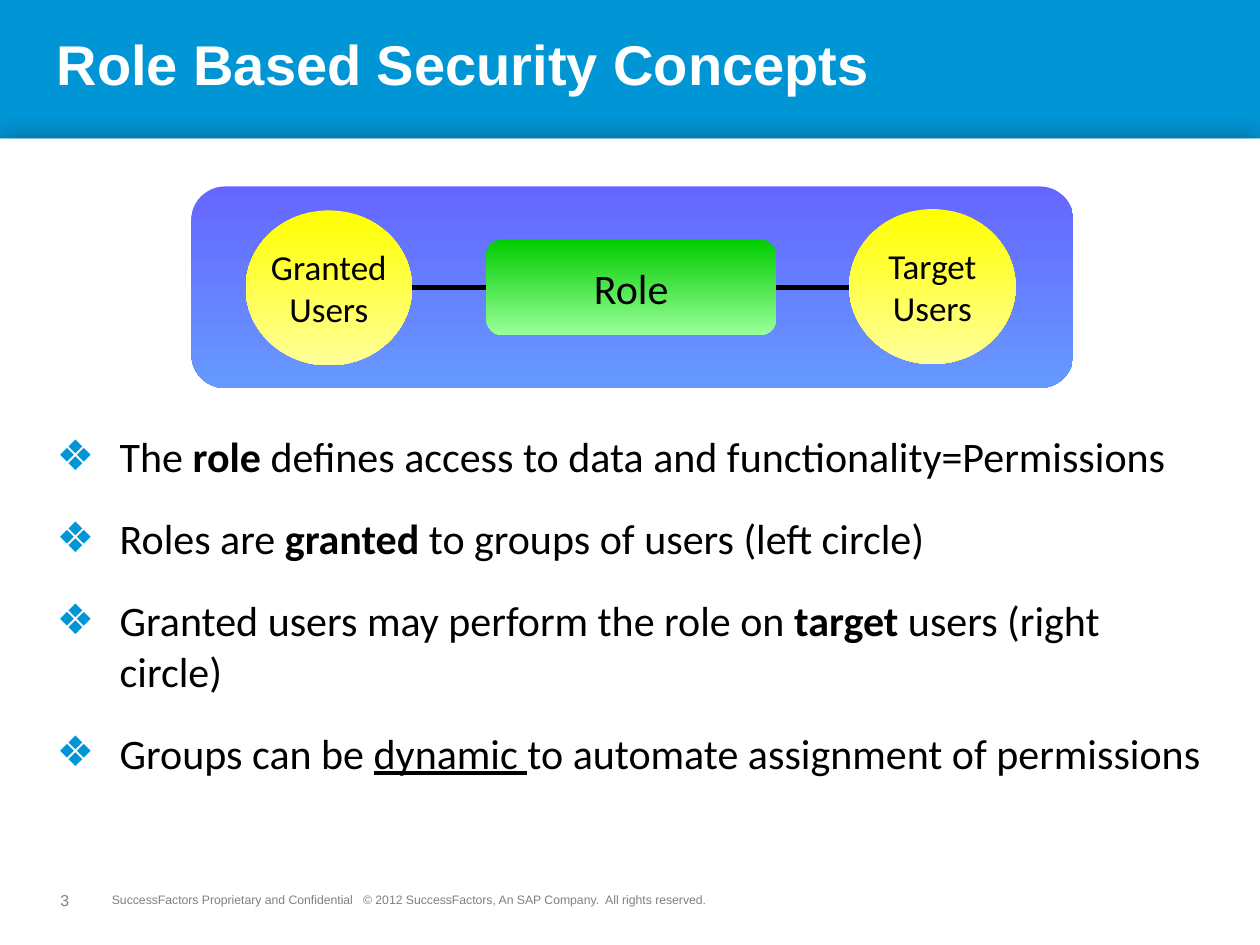
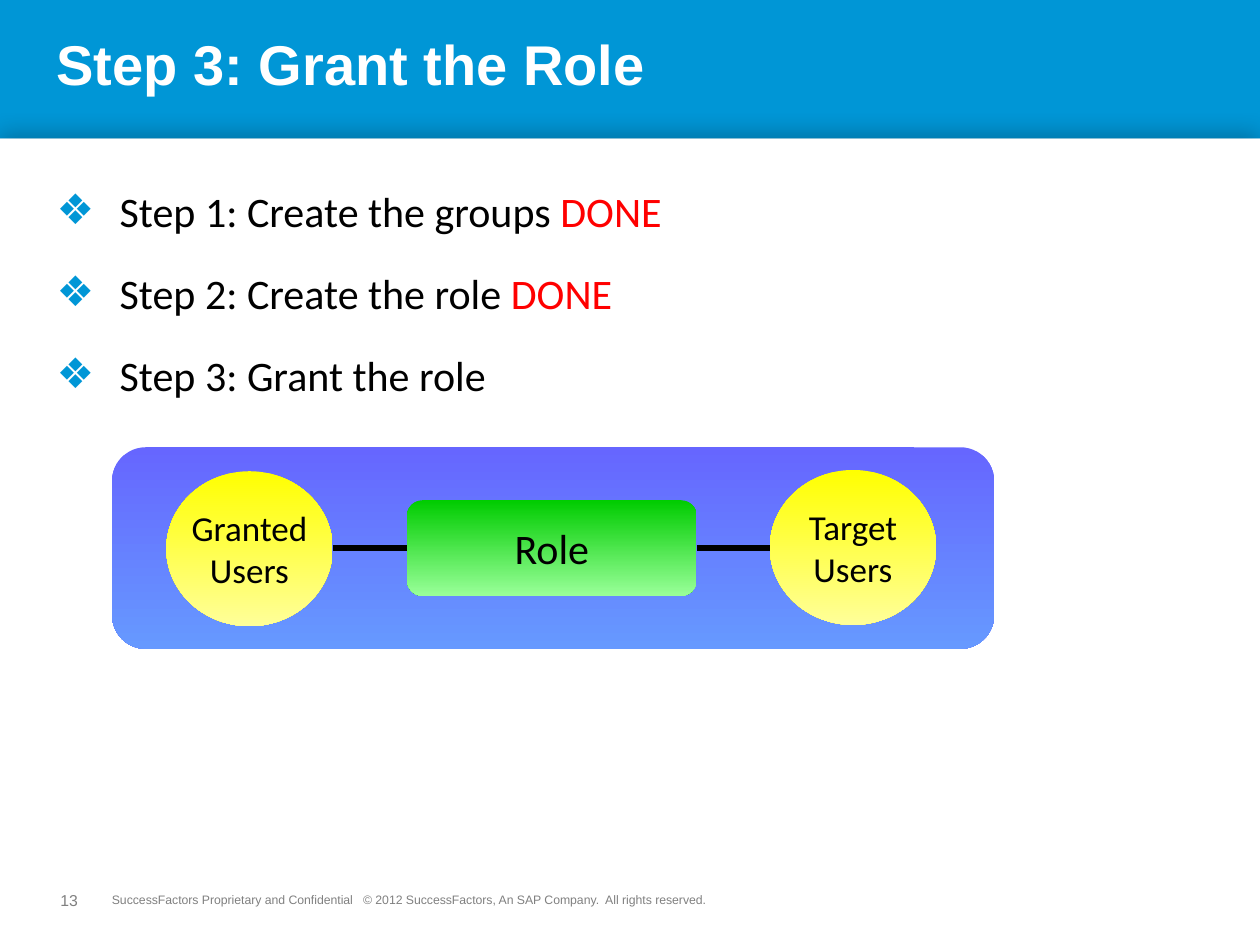
"""Builds two slides that explain role based security."""
from lxml.etree import SubElement
from pptx import Presentation
from pptx.dml.color import RGBColor
from pptx.enum.shapes import MSO_CONNECTOR as Connector, MSO_SHAPE as Shape
from pptx.enum.text import MSO_ANCHOR as Anchor, MSO_AUTO_SIZE as AutoSize, PP_ALIGN as Align
from pptx.oxml.ns import qn
from pptx.util import Inches, Pt

BLUE, WHITE, BLACK, GREY, RED = "0096D6", "FFFFFF", "000000", "808080", "FF0000"
VIOLET_FADE = ("6666FF", "6699FF")
YELLOW_FADE = ("FFFF00", "FFFF99")
GREEN_FADE = ("00CC00", "99FF99")
HEAD_FONT, TEXT_FONT = "Arial", "Calibri"
BAND_HEIGHT = 1.1
BODY_BOTTOM = 6.99
COPYRIGHT = ("SuccessFactors Proprietary and Confidential   © 2012 SuccessFactors, "
             "An SAP Company.  All rights reserved.")


def color(value):
    """Turns a hex string into a colour."""
    return RGBColor.from_string(value)


def inches(*lengths):
    """Turns numbers into lengths in inches."""
    return [Inches(length) for length in lengths]


class SlideWriter:
    """Holds the shared style and the current slide."""

    def __init__(self):
        """Starts an empty deck."""
        self.deck = Presentation()
        self.deck.slide_width, self.deck.slide_height = inches(10, 7.5)
        self.page = None

    def start(self, title, number):
        """Adds a slide with its bands, title and footer."""
        self.page = self.deck.slides.add_slide(self.deck.slide_layouts[1])
        self.shape(Shape.RECTANGLE, (0, 0, 10, BAND_HEIGHT), (BLUE,))
        panel = self.shape(Shape.RECTANGLE, (0, BAND_HEIGHT, 10, 7.5 - BAND_HEIGHT), (WHITE,))
        self.shadow(panel)
        self.footer((0.33, 6.99, 0.56, 0.3), number, 9, Anchor.BOTTOM, 0.15, 0.07)
        self.footer((0.79, 7.03, 6.17, 0.22), COPYRIGHT, 7, Anchor.TOP, 0.1, 0.05)
        frame = self.placeholder(0, (0.35, 0.08, 9.3, 0.91), Anchor.MIDDLE)
        para = frame.paragraphs[0]
        para.alignment = Align.LEFT
        para.line_spacing = 0.9
        self.span(para, title, 32, WHITE, HEAD_FONT, bold=True)

    def span(self, para, text, size, ink=BLACK, font=TEXT_FONT, bold=False, underline=False):
        """Adds one run of text to a paragraph."""
        span = para.add_run()
        span.text = text
        span.font.size = Pt(size)
        span.font.name = font
        span.font.color.rgb = color(ink)
        span.font.bold = bold
        span.font.underline = underline

    def placeholder(self, index, place, anchor):
        """Moves a template placeholder in front of the bands."""
        holder = self.page.placeholders[index]
        holder.left, holder.top, holder.width, holder.height = inches(*place)
        self.page.shapes._spTree.append(holder._element)
        frame = holder.text_frame
        frame.auto_size = AutoSize.NONE
        frame.vertical_anchor = anchor
        return frame

    def footer(self, place, text, size, anchor, side, edge):
        """Adds a small grey footer text."""
        frame = self.page.shapes.add_textbox(*inches(*place)).text_frame
        frame.word_wrap = True
        frame.vertical_anchor = anchor
        frame.margin_left = frame.margin_right = Inches(side)
        frame.margin_top = frame.margin_bottom = Inches(edge)
        self.span(frame.paragraphs[0], text, size, GREY, HEAD_FONT)

    def shadow(self, shape):
        """Casts a soft shadow upwards."""
        effects = shape._element.spPr.find(qn("a:effectLst"))
        cast = SubElement(effects, qn("a:outerShdw"), blurRad=str(Pt(13)), dist=str(Pt(3)),
                          dir=str(270 * 60000), algn="b", rotWithShape="0")
        tone = SubElement(cast, qn("a:srgbClr"), val=BLACK)
        SubElement(tone, qn("a:alpha"), val="21000")

    def bullets(self, top, items):
        """Fills the body with diamond bullets, each a list of (text, style) pairs."""
        frame = self.placeholder(1, (0.35, top, 9.28, BODY_BOTTOM - top), Anchor.TOP)
        for index, item in enumerate(items):
            para = frame.add_paragraph() if index else frame.paragraphs[0]
            props = para._p.get_or_add_pPr()
            props.set("marL", str(Inches(0.5)))
            props.set("indent", str(Inches(-0.5)))
            SubElement(SubElement(props, qn("a:buClr")), qn("a:srgbClr"), val=BLUE)
            SubElement(props, qn("a:buChar"), char="❖")
            para.space_before = Pt(18 if index else 0)
            for text, style in item:
                self.span(para, text, 24, **style)

    def shape(self, kind, place, fills, lines=(), size=20):
        """Adds a plain or fading shape with centred lines of text."""
        shape = self.page.shapes.add_shape(kind, *inches(*place))
        shape.shadow.inherit = False
        shape.line.fill.background()
        if len(fills) == 1:
            shape.fill.solid()
            shape.fill.fore_color.rgb = color(fills[0])
        else:
            shape.fill.gradient()
            shape.fill.gradient_angle = 270
            for stop, tone, position in zip(shape.fill.gradient_stops, fills, (0, 1)):
                stop.color.rgb = color(tone)
                stop.position = position
        frame = shape.text_frame
        frame.word_wrap = False
        frame.vertical_anchor = Anchor.MIDDLE
        for index, text in enumerate(lines):
            para = frame.add_paragraph() if index else frame.paragraphs[0]
            para.alignment = Align.CENTER
            self.span(para, text, size)
        return shape

    def line(self, start, end, height):
        """Adds a level black line."""
        line = self.page.shapes.add_connector(Connector.STRAIGHT,
                                              *inches(start, height, end, height))
        line.line.color.rgb = color(BLACK)
        line.line.width = Pt(3)
        SubElement(line._element.spPr, qn("a:effectLst"))

    def role_diagram(self, left, top):
        """Draws granted users and target users linked by a role."""
        granted, role, target = left + 0.43, left + 2.34, left + 5.22
        circle, role_width = 1.32, 2.3
        self.shape(Shape.ROUNDED_RECTANGLE, (left, top, 7, 1.6), VIOLET_FADE)
        self.shape(Shape.OVAL, (granted, top + 0.19, circle, 1.23), YELLOW_FADE,
                   ("Granted", "Users"))
        self.line(granted + circle, role, top + 0.8)
        self.line(role + role_width, target, top + 0.8)
        self.shape(Shape.ROUNDED_RECTANGLE, (role, top + 0.42, role_width, 0.76), GREEN_FADE,
                   ("Role",), 24)
        self.shape(Shape.OVAL, (target, top + 0.18, circle, 1.23), YELLOW_FADE,
                   ("Target", "Users"))


def main():
    """Builds and saves the deck."""
    plain, bold, done = {}, {"bold": True}, {"ink": RED}
    writer = SlideWriter()

    writer.start("Role Based Security Concepts", "3")
    writer.bullets(3.37, [
        [("The ", plain), ("role", bold),
         (" defines access to data and functionality=Permissions", plain)],
        [("Roles are ", plain), ("granted", bold),
         (" to groups of users (left circle)", plain)],
        [("Granted users may perform the role on ", plain), ("target", bold),
         (" users (right circle)", plain)],
        [("Groups can be ", plain), ("dynamic ", {"underline": True}),
         ("to automate assignment of permissions", plain)],
    ])
    writer.role_diagram(1.52, 1.48)

    writer.start("Step 3: Grant the Role", "13")
    writer.bullets(1.42, [
        [("Step 1: Create the groups ", plain), ("DONE", done)],
        [("Step 2: Create the role ", plain), ("DONE", done)],
        [("Step 3: Grant the role", plain)],
    ])
    writer.role_diagram(0.89, 3.55)

    writer.deck.save("out.pptx")


if __name__ == "__main__":
    main()
